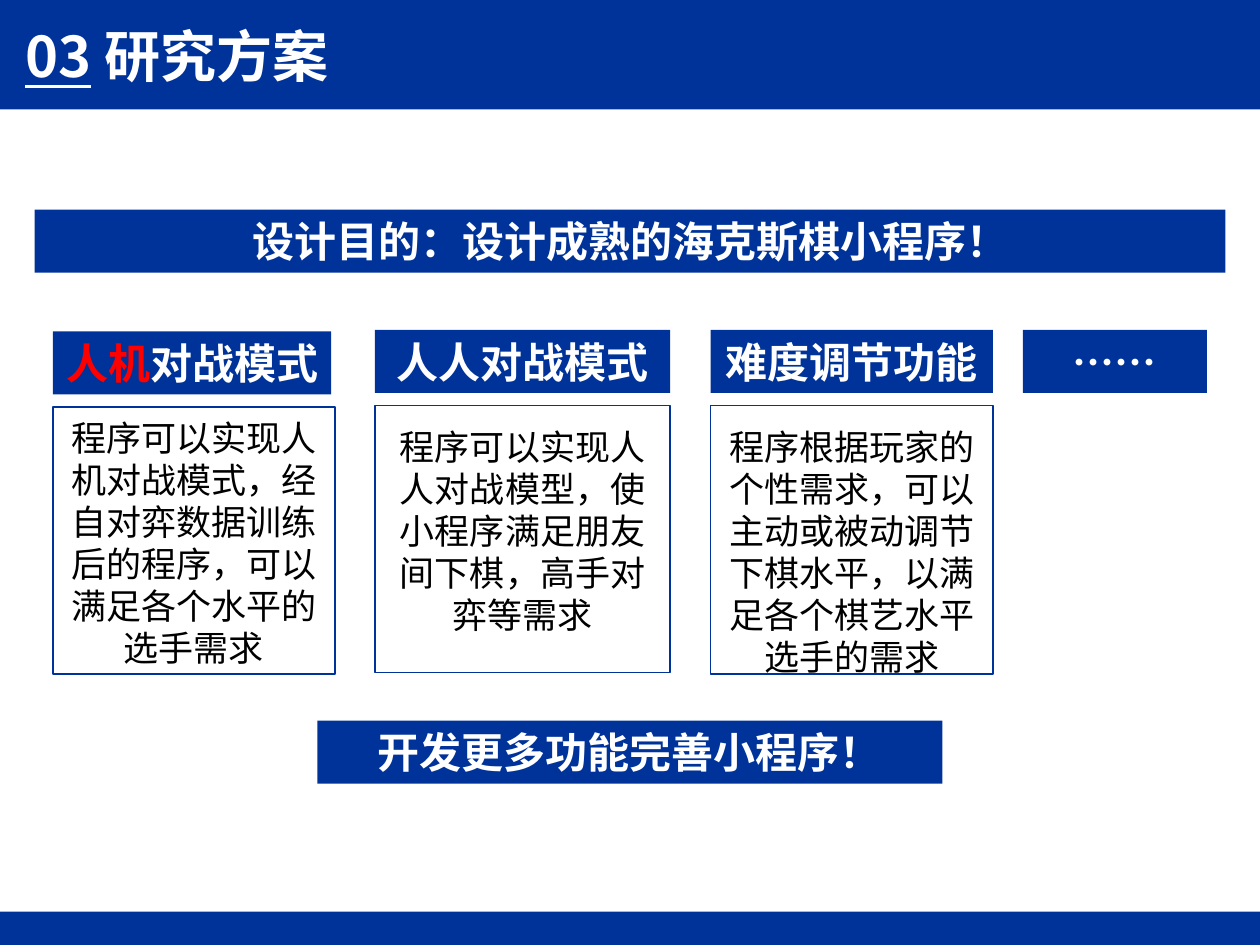
from lxml.etree import SubElement
from pptx import Presentation
from pptx.dml.color import RGBColor
from pptx.enum.shapes import MSO_SHAPE
from pptx.enum.text import MSO_ANCHOR, PP_ALIGN
from pptx.oxml.ns import qn
from pptx.util import Pt

COLORS = {"blue": "003399", "white": "FFFFFF", "red": "FF0000", "black": "000000"}
FONT = "Noto Sans CJK SC"
HEADING = {"size": Pt(24), "bold": True}
BODY = {"size": Pt(20), "bold": False}
TITLE = {"size": Pt(32), "bold": True}
FRAME = {"word_wrap": True, "margin_left": Pt(7.2), "margin_right": Pt(7.2),
         "margin_top": Pt(3.6), "margin_bottom": Pt(3.6)}


def color(name):
    return RGBColor.from_string(COLORS[name])


def apply(target, values):
    for name, value in values.items():
        setattr(target, name, value)


def write(shape, runs, font, frame, align=PP_ALIGN.CENTER):
    apply(shape.text_frame, {**FRAME, **frame})
    paragraph = shape.text_frame.paragraphs[0]
    apply(paragraph, {"alignment": align, "line_spacing": Pt(font["size"].pt * 1.2)})
    for words, ink, underline in runs:
        run = paragraph.add_run()
        run.text = words
        apply(run.font, {**font, "name": FONT, "underline": underline})
        run.font.color.rgb = color(ink)
        SubElement(run.font._element, qn("a:ea"), typeface=FONT)


def add_panel(shapes, box, filled=True):
    panel = shapes.add_shape(MSO_SHAPE.RECTANGLE, *map(Pt, box))
    panel.shadow.inherit = False
    if filled:
        panel.fill.solid()
        panel.fill.fore_color.rgb = color("blue")
        panel.line.fill.background()
    else:
        panel.fill.background()
        panel.line.color.rgb = color("blue")
        panel.line.width = Pt(1)
    return panel


def add_banner(shapes, box, runs):
    banner = add_panel(shapes, box)
    write(banner, runs, HEADING, {"vertical_anchor": MSO_ANCHOR.MIDDLE})


def add_header(slide, box, runs):
    left, top, width, height = box
    add_panel(slide.shapes, box)
    title = slide.shapes.title
    title.element.getparent().append(title.element)
    apply(title, {"left": Pt(left), "top": Pt(top + 8.6),
                  "width": Pt(575.3), "height": Pt(height - 16.5)})
    write(title, runs, TITLE,
          {"vertical_anchor": MSO_ANCHOR.MIDDLE, "margin_left": Pt(14.4)}, PP_ALIGN.LEFT)


def add_mode(slide, box, heading, heading_width, description, text_offset):
    left, top, width, height = box
    shapes = slide.shapes.add_group_shape().shapes
    add_banner(shapes, (left, top, heading_width, 36), heading)
    if description:
        body_top = top + 43.2
        body_height = height - 43.2
        add_panel(shapes, (left, body_top, width, body_height), filled=False)
        text = shapes.add_textbox(Pt(left), Pt(body_top + text_offset),
                                  Pt(width), Pt(body_height))
        write(text, [(description, "black", False)], BODY,
              {"vertical_anchor": MSO_ANCHOR.TOP, "margin_top": Pt(5.4)})


def plain(words):
    return [(words, "white", False)]


presentation = Presentation()
apply(presentation, {"slide_width": Pt(720), "slide_height": Pt(540)})
slide = presentation.slides.add_slide(presentation.slide_layouts[5])

add_panel(slide.shapes, (0, 521, 720, 19))
add_header(slide, (0, 0, 720, 62.6), [("03", "white", True), (" 研究方案", "white", False)])
add_banner(slide.shapes, (19.8, 119.8, 680.4, 36), plain("设计目的：设计成熟的海克斯棋小程序！"))
add_banner(slide.shapes, (181.4, 411.8, 357.1, 36), plain("开发更多功能完善小程序！"))

modes = [
    ((30.2, 189.4, 161.3, 195.8), [("人机", "red", False), ("对战模式", "white", False)], 159.1,
     "程序可以实现人机对战模式，经自对弈数据训练后的程序，可以满足各个水平的选手需求", 0),
    ((214.2, 188.6, 168.8, 195.8), plain("人人对战模式"), 168.8,
     "程序可以实现人人对战模型，使小程序满足朋友间下棋，高手对弈等需求", 5.8),
    ((406.1, 188.6, 161.3, 196.6), plain("难度调节功能"), 161.3,
     "程序根据玩家的个性需求，可以主动或被动调节下棋水平，以满足各个棋艺水平选手的需求", 5.8),
    ((584.6, 188.6, 105.1, 36), plain("……"), 105.1, None, 0),
]
for mode in modes:
    add_mode(slide, *mode)

presentation.save("out.pptx")
